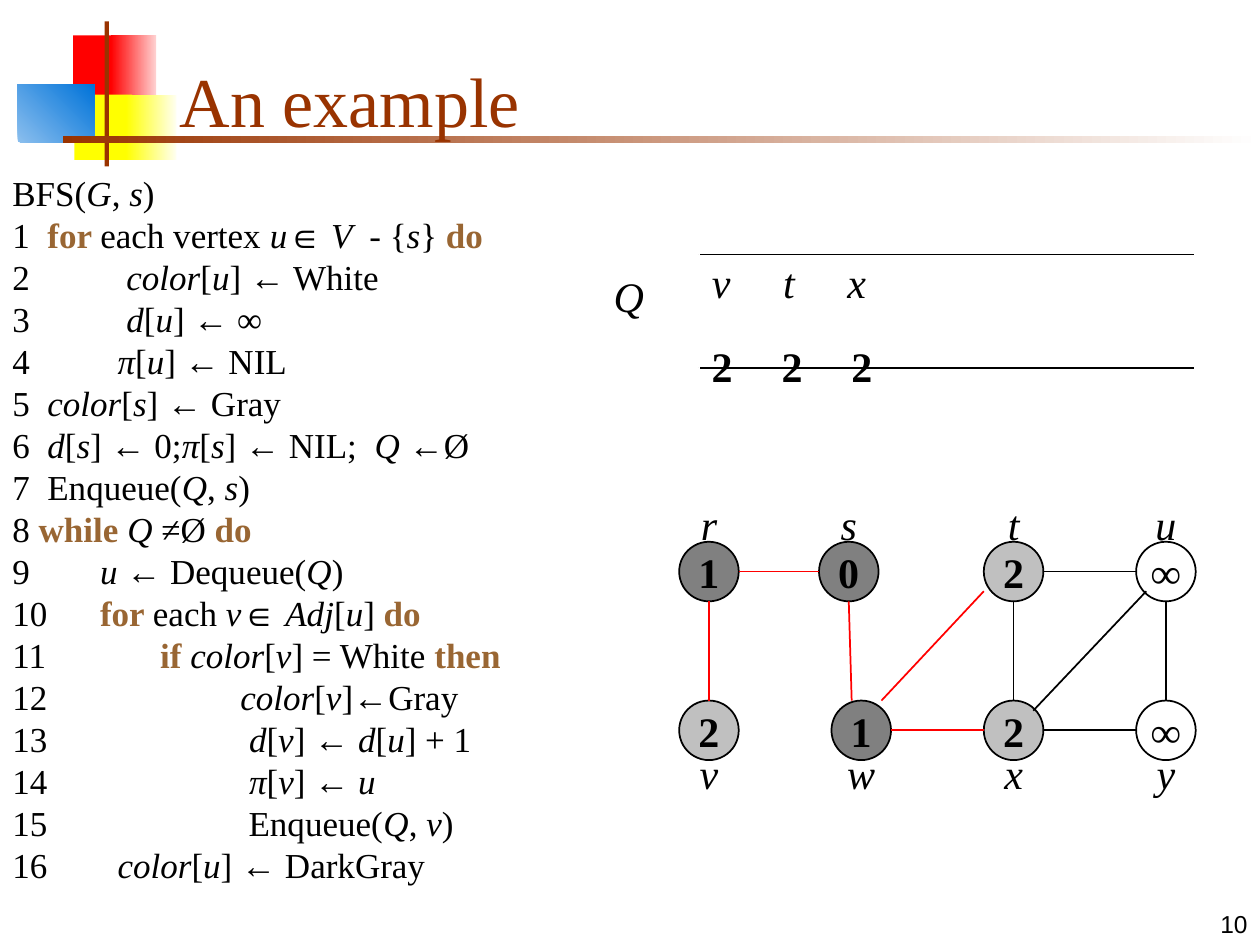
import pptx
import pptx.util
import pptx.dml.color
import pptx.enum.shapes
import pptx.enum.text
import pptx.oxml
import pptx.oxml.ns

SHAPE = pptx.enum.shapes.MSO_SHAPE
LINE = pptx.enum.shapes.MSO_CONNECTOR.STRAIGHT
ALIGN = pptx.enum.text.PP_ALIGN
ANCHOR = pptx.enum.text.MSO_ANCHOR
FIT = pptx.enum.text.MSO_AUTO_SIZE.SHAPE_TO_FIT_TEXT
Pt = pptx.util.Pt

COLS, ROWS = 100, 75
WIDE, HIGH = pptx.util.Inches(10), pptx.util.Inches(7.5)
HUES = {
    "black": "000000", "white": "FFFFFF", "gray": "C0C0C0", "dark": "808080",
    "red": "FF0000", "pink": "FFD1D1", "yellow": "FFFF00", "cream": "FFFFF0",
    "sky": "8BBFEE", "blue": "0073D9", "rust": "993300", "key": "996633",
}
SERIF, SANS = "Times New Roman", "Arial"
ITAL = {"name": SERIF, "size": Pt(24), "italic": True}
BOLD = {"name": SERIF, "size": Pt(24), "bold": True}
CODE = [
    "BFS(*G*, *s*)",
    "1  #for #each vertex *u*∈ *V * - {*s*} #do#",
    "2           *color*[*u*] ← White",
    "3           *d*[*u*] ← ∞",
    "4          *π*[*u*] ← NIL",
    "5  *color*[*s*] ← Gray",
    "6  *d*[*s*] ← 0;*π*[*s*] ← NIL;  *Q *←Ø",
    "7  Enqueue(*Q*, *s*)",
    "8 #while #*Q *≠Ø #do#",
    "9        *u *← Dequeue(*Q*)",
    "10      #for #each *v*∈ *Adj*[*u*] #do#",
    "11             #if #*color*[*v*] = White #then#",
    "12                      *color*[*v*]←Gray",
    "13                       *d*[*v*] ← *d*[*u*] + 1",
    "14                       *π*[*v*] ← *u*",
    "15                       Enqueue(*Q*, *v*)",
    "16        *color*[*u*] ← DarkGray",
]


def col(n):
    return round(WIDE * n / COLS)


def row(n):
    return round(HIGH * n / ROWS)


def area(x, y, w, h):
    return col(x), row(y), col(w), row(h)


def hue(name):
    return pptx.dml.color.RGBColor.from_string(HUES[name])


def put(thing, vals):
    for key, val in vals.items():
        setattr(thing, key, val)


def write(para, text, font, tone="black"):
    run = para.add_run()
    run.text = text
    put(run.font, font)
    run.font.color.rgb = hue(tone)


def label(slide, box, text, font, tone="black", align=ALIGN.CENTER, **frame):
    body = slide.shapes.add_textbox(*area(*box)).text_frame
    put(body, {"word_wrap": False, **frame})
    para = body.paragraphs[0]
    para.alignment = align
    write(para, text, font, tone)


def shape(slide, kind, box, tones):
    item = slide.shapes.add_shape(kind, *area(*box))
    item.shadow.inherit = False
    if len(tones) == 1:
        item.fill.solid()
        item.fill.fore_color.rgb = hue(tones[0])
    else:
        item.fill.gradient()
        for stop, tone in zip(item.fill.gradient_stops, tones):
            stop.color.rgb = hue(tone)
    item.line.fill.background()
    return item


def rule(slide, start, end, tone):
    link = slide.shapes.add_connector(
        LINE, col(start[0]), row(start[1]), col(end[0]), row(end[1]))
    link.line.color.rgb = hue(tone)
    link.line.width = Pt(1)
    props = link._element.spPr
    props.append(pptx.oxml.parse_xml(
        f'<a:effectLst {pptx.oxml.ns.nsdecls("a")}/>'))


def crest(slide, x, y, w, h):
    tiles = [
        (4.4, 1.1, 3.5, 5.2, ["red"], 0),
        (7.4, 1.1, 3.6, 5.2, ["red", "pink"], 0),
        (4.5, 5.8, 4.6, 5.2, ["yellow"], 0),
        (8.6, 5.8, 4, 5.2, ["yellow", "cream"], 0),
        (0, 5, 6.1, 4.6, ["sky", "blue"], 45),
        (6.9, 0, 0.35, h, ["rust"], 0),
        (3.6, 9.1, w - 3.6, 0.55, ["rust", "white"], 0),
    ]
    for dx, dy, tw, th, tones, turn in tiles:
        tile = shape(slide, SHAPE.RECTANGLE, (x + dx, y + dy, tw, th), tones)
        if len(tones) > 1:
            tile.fill.gradient_angle = turn


def code(slide, x, y, w, h):
    body = slide.shapes.add_textbox(*area(x, y, w, h)).text_frame
    put(body, {"word_wrap": True, "auto_size": FIT})
    for num, text in enumerate(CODE):
        para = body.add_paragraph() if num else body.paragraphs[0]
        for i, part in enumerate(text.split("*")):
            for j, bit in enumerate(part.split("#")):
                if bit:
                    font = {"name": SERIF, "size": Pt(20),
                            "italic": i % 2 == 1, "bold": j % 2 == 1}
                    write(para, bit, font, "key" if j % 2 else "black")


def queue(slide, x, y, w, h):
    label(slide, (x, y + 0.8, 4.4, 5), "Q", ITAL, auto_size=FIT)
    left = x + 7.8
    table = slide.shapes.add_table(1, 1, *area(left, y, w - 7.8, h)).table
    put(table, {"first_row": False, "horz_banding": False})
    cell = table.cell(0, 0)
    cell.fill.background()
    names = pptx.oxml.ns.nsdecls("a")
    props = cell._tc.get_or_add_tcPr()
    for at, side in enumerate(("lnT", "lnB")):
        props.insert(at, pptx.oxml.parse_xml(
            f'<a:{side} {names} w="{Pt(1.08)}"><a:solidFill>'
            f'<a:srgbClr val="{HUES["black"]}"/></a:solidFill></a:{side}>'))
    para = cell.text_frame.paragraphs[0]
    stops = "".join(f'<a:tab pos="{col(n)}" algn="l"/>' for n in (5.65, 10.75))
    para._p.get_or_add_pPr().append(pptx.oxml.parse_xml(
        f'<a:tabLst {names}>{stops}</a:tabLst>'))
    write(para, "v\tt\tx", ITAL)
    for num in range(3):
        spot = (left + 5.55 * num, y + 6.3, 3.6, 5)
        label(slide, spot, "2", BOLD, auto_size=FIT)


def graph(slide, x, y, w, h):
    size = 4.73
    third, low = (w - size) / 3, h - size
    nodes = {
        "r": (0, 0, "1", "dark"), "s": (11.1, 0, "0", "dark"),
        "t": (2 * third, 0, "2", "gray"), "u": (3 * third, 0, "∞", "white"),
        "v": (0, low, "2", "gray"), "w": (third, low, "1", "dark"),
        "x": (2 * third, low, "2", "gray"), "y": (3 * third, low, "∞", "white"),
    }
    for name, (dx, dy, text, tone) in nodes.items():
        box = (x + dx, y + dy, size, size)
        node = shape(slide, SHAPE.OVAL, box, [tone])
        node.line.color.rgb = hue("black")
        node.line.width = Pt(1)
        put(node.text_frame,
            {"word_wrap": False, "vertical_anchor": ANCHOR.MIDDLE})
        para = node.text_frame.paragraphs[0]
        para.alignment = ALIGN.CENTER
        write(para, text, BOLD)
        drop = 3.2 if dy else -3.9
        label(slide, (x + dx, y + dy + drop, size, 5), name, ITAL, auto_size=FIT)

    def port(name, fx, fy):
        dx, dy = nodes[name][:2]
        return x + dx + fx * size, y + dy + fy * size

    east, west, foot, head = (1, 0.5), (0, 0.5), (0.5, 1), (0.5, 0)
    edges = [
        ("r", foot, "v", head, "red"), ("r", east, "s", west, "red"),
        ("s", foot, "w", (0.34, 0), "red"),
        ("w", (0.84, 0), "t", (0, 0.83), "red"),
        ("t", east, "u", west, "black"), ("t", foot, "x", head, "black"),
        ("u", foot, "y", head, "black"), ("w", east, "x", west, "red"),
        ("x", east, "y", west, "black"),
        ("u", (0.17, 0.83), "x", (0.83, 0.17), "black"),
    ]
    for one, out, two, into, tone in edges:
        rule(slide, port(one, *out), port(two, *into), tone)


def main():
    deck = pptx.Presentation()
    put(deck, {"slide_width": WIDE, "slide_height": HIGH})
    slide = deck.slides.add_slide(deck.slide_layouts[6])
    crest(slide, 1.4, 1.7, 98.6, 11.5)
    label(slide, (79.2, 70, 20.8, 5), "10", {"name": SANS, "size": Pt(14)},
          align=ALIGN.RIGHT, word_wrap=True, vertical_anchor=ANCHOR.BOTTOM)
    label(slide, (13.3, 2.5, 85.2, 9.2), "An example",
          {"name": SERIF, "size": Pt(40)}, "rust", ALIGN.LEFT,
          word_wrap=True, vertical_anchor=ANCHOR.BOTTOM)
    graph(slide, 53.9, 43, 41, 17.33)
    queue(slide, 47.7, 20.2, 47.1, 9)
    code(slide, 0, 13.1, 47.6, 57.7)
    deck.save("out.pptx")


if __name__ == "__main__":
    main()
